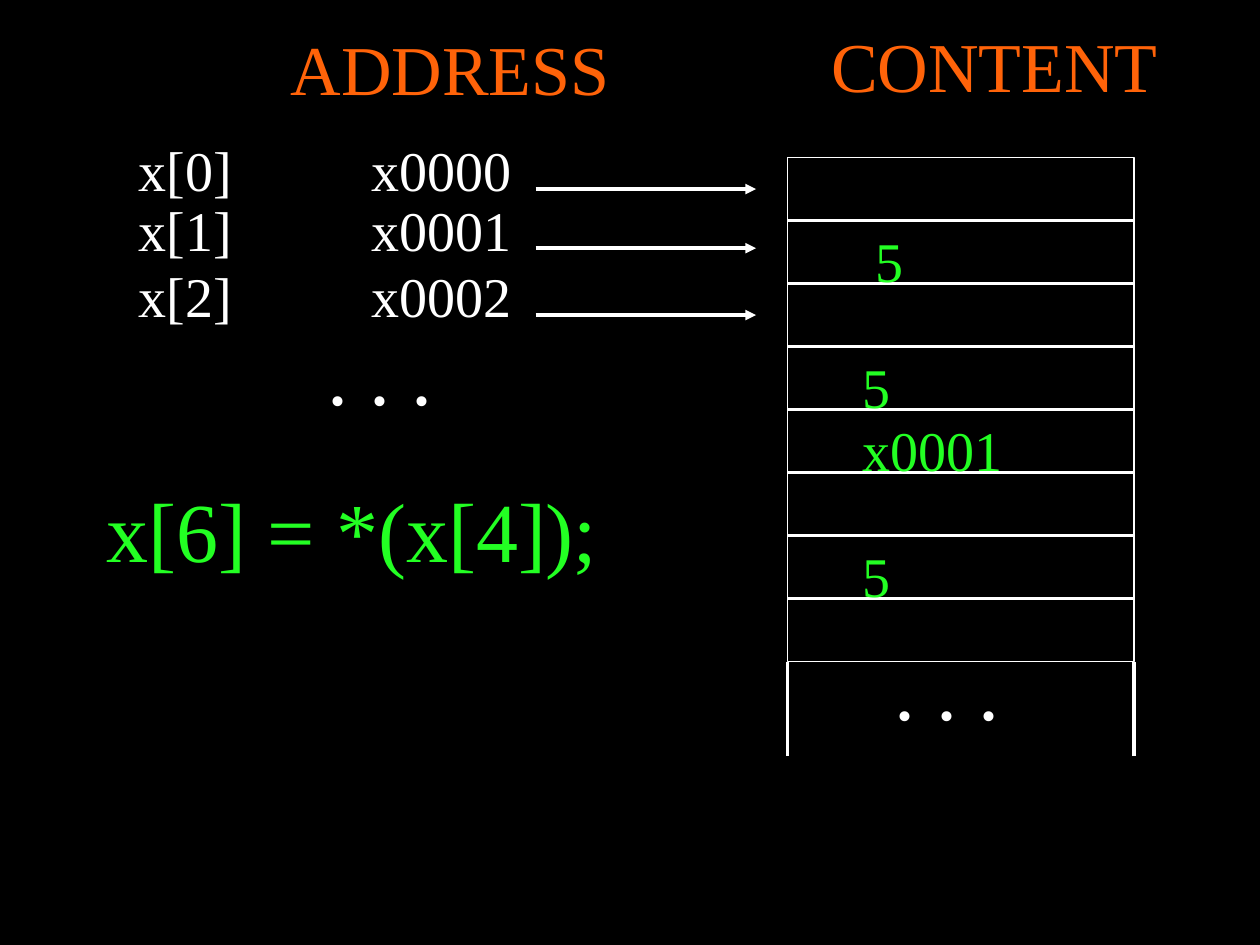
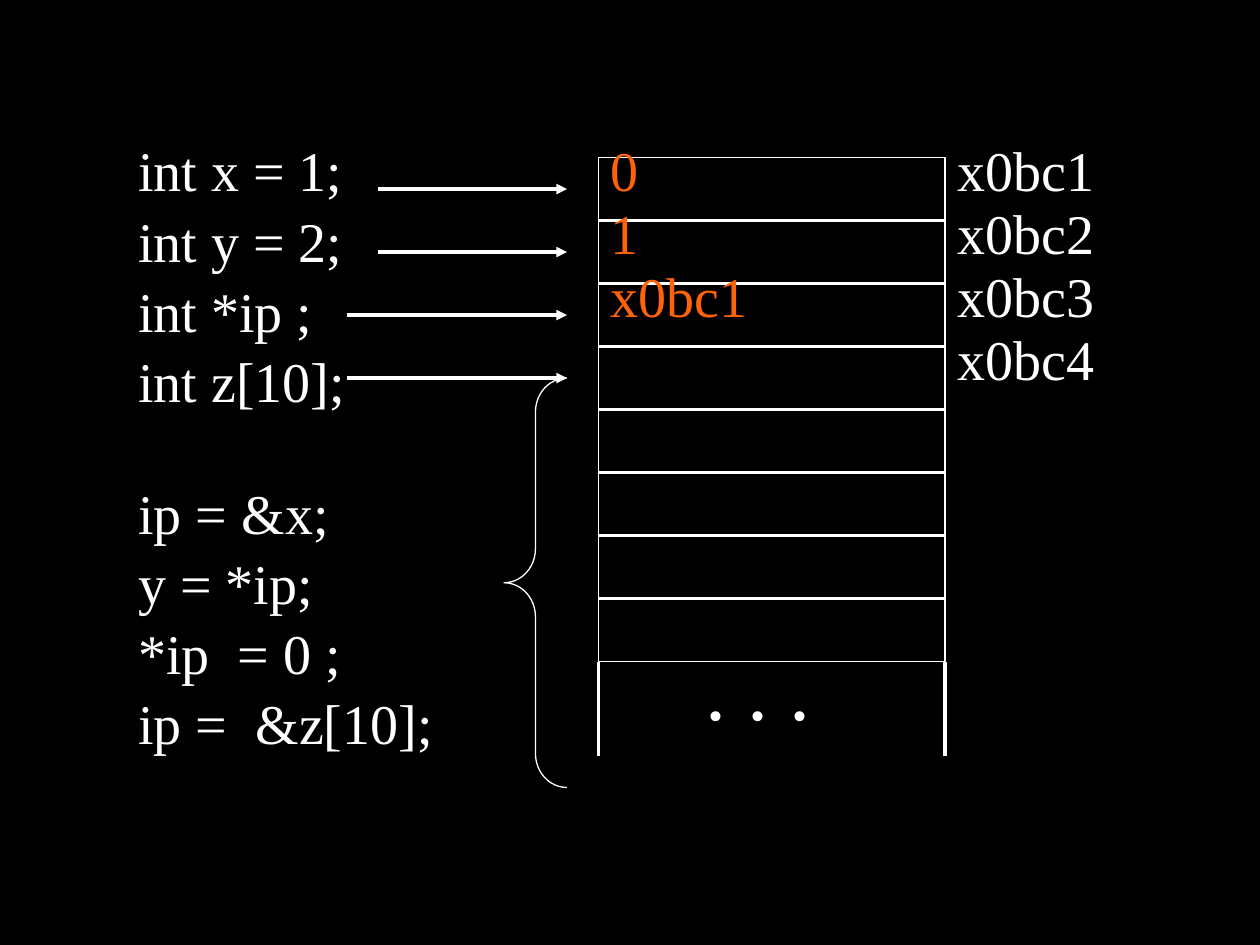
from dataclasses import dataclass

from lxml.etree import SubElement
from pptx import Presentation
from pptx.dml.color import RGBColor
from pptx.enum.shapes import MSO_CONNECTOR, MSO_SHAPE
from pptx.enum.text import MSO_AUTO_SIZE
from pptx.oxml.ns import qn
from pptx.slide import Slide
from pptx.util import Inches, Pt

COLORS = {
    "background": "000000",
    "white": "FFFFFF",
    "orange": "FF6309",
    "green": "23FF23",
}
FONT = "Times New Roman"
ROW_HEIGHT = 0.5
ROW_COUNT = 8
MEMORY_TOP = 1.25
MEMORY_WIDTH = 2.75
OPEN_END = 0.75  # unclosed part below the last row
ADDRESS_TAB = 1.85


@dataclass
class Label:
    text: str
    left: float
    top: float
    width: float = 3.25
    height: float = 0.59
    size: int = 32
    color: str = "white"


@dataclass
class Line:
    start: tuple[float, float]
    end: tuple[float, float]
    arrow: bool = False


def color_of(name: str) -> RGBColor:
    return RGBColor.from_string(COLORS[name])


def add_slide(presentation) -> Slide:
    slide = presentation.slides.add_slide(presentation.slide_layouts[6])
    slide.background.fill.solid()
    slide.background.fill.fore_color.rgb = color_of("background")
    return slide


def draw_label(slide: Slide, label: Label) -> None:
    shape = slide.shapes.add_textbox(
        Inches(label.left), Inches(label.top), Inches(label.width), Inches(label.height)
    )
    text_frame = shape.text_frame
    text_frame.word_wrap = True
    text_frame.auto_size = MSO_AUTO_SIZE.SHAPE_TO_FIT_TEXT
    text_frame.text = label.text
    for paragraph in text_frame.paragraphs:
        paragraph.space_before = Pt(1.65)
        if "\t" in label.text:
            tabs = SubElement(paragraph._p.get_or_add_pPr(), qn("a:tabLst"))
            SubElement(tabs, qn("a:tab"), pos=str(Inches(ADDRESS_TAB)), algn="l")
        for run in paragraph.runs:
            run.font.name = FONT
            run.font.size = Pt(label.size)
            run.font.color.rgb = color_of(label.color)


def style_outline(shape) -> None:
    shape.line.color.rgb = color_of("white")
    shape.line.width = Pt(0)


def draw_line(slide: Slide, line: Line) -> None:
    ends = [Inches(value) for value in (*line.start, *line.end)]
    connector = slide.shapes.add_connector(MSO_CONNECTOR.STRAIGHT, *ends)
    style_outline(connector)
    if line.arrow:
        SubElement(connector.line._get_or_add_ln(), qn("a:tailEnd"), type="triangle")
    SubElement(connector._element.spPr, qn("a:effectLst"))


def draw_outline(slide: Slide, kind: MSO_SHAPE, left: float, top: float,
                 width: float, height: float):
    shape = slide.shapes.add_shape(
        kind, Inches(left), Inches(top), Inches(width), Inches(height)
    )
    shape.shadow.inherit = False
    shape.fill.background()
    style_outline(shape)
    return shape


def draw_dots(slide: Slide, left: float, top: float) -> None:
    draw_label(slide, Label(". . .", left, top, 1.25, 0.84, 48))


def draw_memory(slide: Slide, left: float) -> None:
    """Draw a column of memory cells that is open at the bottom."""
    right = left + MEMORY_WIDTH
    height = ROW_COUNT * ROW_HEIGHT
    bottom = MEMORY_TOP + height
    draw_outline(slide, MSO_SHAPE.RECTANGLE, left, MEMORY_TOP, MEMORY_WIDTH, height)
    for side in (left, right):
        draw_line(slide, Line((side, bottom + OPEN_END), (side, bottom)))
    for row in range(1, ROW_COUNT):
        y = MEMORY_TOP + row * ROW_HEIGHT
        draw_line(slide, Line((right, y), (left, y)))
    draw_dots(slide, left + 0.75, bottom - 0.25)


def build_address_slide(presentation) -> None:
    slide = add_slide(presentation)
    draw_memory(slide, 6.25)

    # Column headings
    draw_label(slide, Label("ADDRESS", 2.21, 0.15, 3, 0.71, 40, "orange"))
    draw_label(slide, Label("CONTENT", 6.5, 0.13, 3.5, 0.71, 40, "orange"))

    # Array elements with their addresses
    for index, (top, arrow_y) in enumerate([(1.03, 1.5), (1.5, 1.97), (2.03, 2.5)]):
        draw_label(slide, Label(f"x[{index}]\tx000{index}", 1, top))
        draw_line(slide, Line((4.25, arrow_y), (6, arrow_y), arrow=True))
    draw_dots(slide, 2.5, 2.5)

    # Statement and stored values
    draw_label(slide, Label("x[6] = *(x[4]);", 0.75, 3.75, 4.75, 0.91, 48, "green"))
    for row, text, left in [(1, "5", 6.85), (3, "5", 6.75), (4, "x0001", 6.75), (6, "5", 6.75)]:
        top = MEMORY_TOP + row * ROW_HEIGHT
        draw_label(slide, Label(text, left, top, 10 - left, color="green"))


def build_pointer_slide(presentation) -> None:
    slide = add_slide(presentation)
    draw_memory(slide, 4.75)

    # Declarations and statements
    declarations = ["int x = 1;", "int y = 2;", "int *ip ;", "int z[10];"]
    statements = ["ip = &x;", "y = *ip;", "*ip  = 0 ;", "ip =  &z[10];"]
    for top, code in [(1.03, declarations), (3.75, statements)]:
        draw_label(slide, Label("\n".join(code), 1, top, height=2.57))

    # Arrows from the declarations, and the extent of the array
    for row, start in enumerate([3, 3, 2.75, 2.75]):
        y = MEMORY_TOP + (row + 0.5) * ROW_HEIGHT
        draw_line(slide, Line((start, y), (4.5, y), arrow=True))
    brace = draw_outline(slide, MSO_SHAPE.LEFT_BRACE, 4, 3, 0.5, 3.25)
    brace.adjustments[0] = 0.54

    # Stored values and cell addresses
    for row, value in enumerate(["0", "1", "x0bc1", ""]):
        top = 1.03 + row * ROW_HEIGHT
        if value:
            draw_label(slide, Label(value, 4.75, top, color="orange"))
        draw_label(slide, Label(f"x0bc{row + 1}", 7.5, top, 1.75))


def main() -> None:
    presentation = Presentation()
    presentation.slide_width = Inches(10)
    presentation.slide_height = Inches(7.5)
    build_address_slide(presentation)
    build_pointer_slide(presentation)
    presentation.save("out.pptx")


if __name__ == "__main__":
    main()
